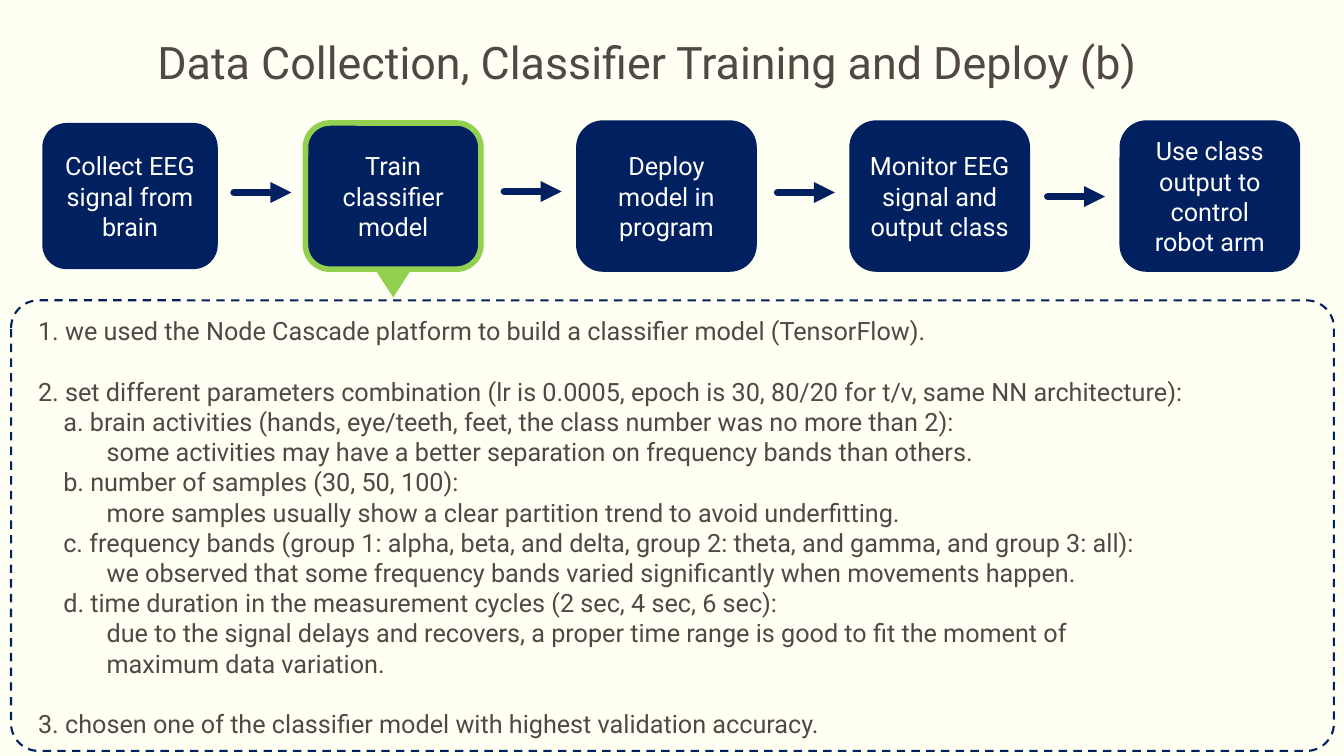
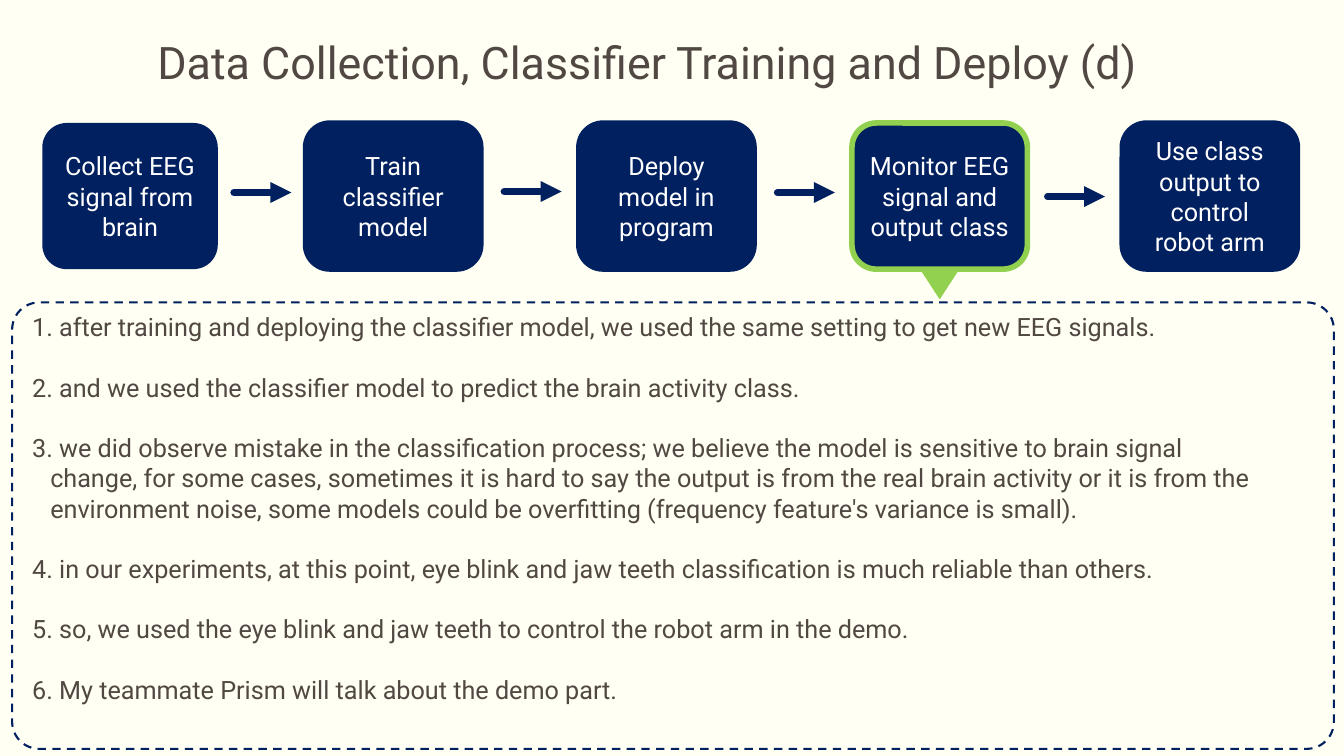
from dataclasses import dataclass

from lxml.etree import SubElement
from pptx import Presentation
from pptx.dml.color import RGBColor
from pptx.enum.dml import MSO_LINE
from pptx.enum.shapes import MSO_CONNECTOR, MSO_SHAPE
from pptx.enum.text import MSO_ANCHOR as Anchor, MSO_AUTO_SIZE as AutoSize, PP_ALIGN as Align
from pptx.oxml.ns import qn
from pptx.util import Inches, Pt

COLORS = {
    "background": "FFFFF3",
    "navy": "002060",
    "green": "92D050",
    "text": "514843",
    "white": "FFFFFF",
}
FONT = "Roboto"
TITLE = "Data Collection, Classifier Training and Deploy"
TITLE_ONLY = 5
STEP_TOP, STEP_WIDTH, STEP_HEIGHT = 1.22, 1.74, 1.45
POINTER_WIDTH, POINTER_HEIGHT, POINTER_RISE = 0.39, 0.3, 0.33
ARROW_LENGTH = 0.57
BLANK_LINE = 21.6


@dataclass(frozen=True)
class Box:
    left: float
    top: float
    width: float
    height: float

    def lengths(self) -> tuple:
        return tuple(Inches(v) for v in (self.left, self.top, self.width, self.height))


@dataclass(frozen=True)
class Step:
    text: str
    left: float
    outlined: bool = True


@dataclass(frozen=True)
class Arrow:
    left: float
    top: float


@dataclass(frozen=True)
class Entry:
    text: str
    indent: float = 0
    hanging: float = 0
    gap: float = 0


@dataclass(frozen=True)
class Page:
    letter: str
    active: int
    panel: Box
    body: Box
    entries: tuple


STEPS = (
    Step("Collect EEG signal from brain", 0.42, outlined=False),
    Step("Train classifier model\u00a0".strip(), 3.03),
    Step("Deploy model in program", 5.74),
    Step("Monitor EEG signal and output class", 8.45),
    Step("Use class output to control\vrobot arm", 11.13),
)
ARROWS = (Arrow(2.32, 1.91), Arrow(5, 1.9), Arrow(7.71, 1.91), Arrow(10.39, 1.95))


def item(text: str, gap: float = BLANK_LINE) -> Entry:
    return Entry(text, indent=0.18, hanging=0.18, gap=gap)


def subitem(text: str) -> Entry:
    return Entry(text, indent=0.25)


def detail(text: str) -> Entry:
    return Entry(text, indent=0.68)


PAGES = (
    Page(
        "b", 1, Box(0.11, 2.98, 13.12, 4.47), Box(0.28, 3.08, 12.4, 4.34),
        (
            item("1. we used the Node Cascade platform to build a classifier model (TensorFlow).", gap=0),
            item("2. set different parameters combination (lr is 0.0005, epoch is 30, 80/20 for t/v, "
                 "same NN architecture):"),
            subitem("a. brain activities (hands, eye/teeth, feet, the class number was no more than 2):"),
            detail("some activities may have a better separation on frequency bands than others."),
            subitem("b. number of samples (30, 50, 100):"),
            detail("more samples usually show a clear partition trend to avoid underfitting."),
            subitem("c. frequency bands (group 1: alpha, beta, and delta, group 2: theta, and gamma, "
                    "and group 3: all):"),
            detail("we observed that some frequency bands varied significantly when movements happen."),
            subitem("d. time duration in the measurement cycles (2 sec, 4 sec, 6 sec):"),
            detail("due to the signal delays and recovers, a proper time range is good to fit "
                   "the moment of\vmaximum data variation."),
            item("3. chosen one of the classifier model with highest validation accuracy."),
        ),
    ),
    Page(
        "d", 3, Box(0.12, 3, 13.11, 4.43), Box(0.22, 3.04, 13.01, 4.04),
        (
            item("1. after training and deploying the classifier model, we used the same setting "
                 "to get new EEG signals.", gap=0),
            item("2. and we used the classifier model to predict the brain activity class."),
            item("3. we did observe mistake in the classification process; we believe the model "
                 "is sensitive to brain signal\vchange, for some cases, sometimes it is hard to say "
                 "the output is from the real brain activity or it is from the\venvironment noise, "
                 "some models could be overfitting (frequency feature's variance is small)."),
            item("4. in our experiments, at this point, eye blink and jaw teeth classification "
                 "is much reliable than others."),
            item("5. so, we used the eye blink and jaw teeth to control the robot arm in the demo."),
            item("6. My teammate Prism will talk about the demo part."),
        ),
    ),
)


def rgb(name: str) -> RGBColor:
    return RGBColor.from_string(COLORS[name])


def write(paragraph, text: str, *, size: float = 18, color: str = "text",
          align=Align.LEFT, spacing: float = 1) -> None:
    paragraph.text = text
    paragraph.alignment = align
    paragraph.line_spacing = spacing
    for run in paragraph.runs:
        run.font.name = FONT
        run.font.size = Pt(size)
        run.font.color.rgb = rgb(color)


def add_shape(slide, kind, box: Box, *, fill: str = "", line: str = "", line_width: float = 0):
    shape = slide.shapes.add_shape(kind, *box.lengths())
    shape.shadow.inherit = False
    if fill:
        shape.fill.solid()
        shape.fill.fore_color.rgb = rgb(fill)
    else:
        shape.fill.background()
    if line:
        shape.line.color.rgb = rgb(line)
        shape.line.width = Pt(line_width)
    else:
        shape.line.fill.background()
    return shape


def add_title(slide, text: str) -> None:
    title = slide.shapes.title
    title.left, title.top, title.width, title.height = Box(1.46, 0.35, 10.92, 1.2).lengths()
    frame = title.text_frame
    frame.auto_size = AutoSize.NONE
    frame.vertical_anchor = Anchor.TOP
    write(frame.paragraphs[0], text, size=32, spacing=0.9)


def add_step(slide, step: Step, active: bool) -> None:
    line, line_width = ("green", 4) if active else ("navy" if step.outlined else "", 3.78)
    box = Box(step.left, STEP_TOP, STEP_WIDTH, STEP_HEIGHT)
    shape = add_shape(slide, MSO_SHAPE.ROUNDED_RECTANGLE, box, fill="navy",
                      line=line, line_width=line_width)
    shape.text_frame.word_wrap = True
    shape.text_frame.vertical_anchor = Anchor.MIDDLE
    write(shape.text_frame.paragraphs[0], step.text, color="white", align=Align.CENTER)


def add_arrow(slide, arrow: Arrow) -> None:
    connector = slide.shapes.add_connector(
        MSO_CONNECTOR.STRAIGHT, Inches(arrow.left), Inches(arrow.top),
        Inches(arrow.left + ARROW_LENGTH), Inches(arrow.top))
    connector.line.color.rgb = rgb("navy")
    connector.line.width = Pt(5)
    properties = connector._element.spPr
    outline = properties.find(qn("a:ln"))
    outline.set("cap", "rnd")
    SubElement(outline, qn("a:tailEnd")).set("type", "triangle")
    SubElement(properties, qn("a:effectLst"))


def add_panel(slide, page: Page) -> None:
    panel = add_shape(slide, MSO_SHAPE.ROUNDED_RECTANGLE, page.panel, line="navy", line_width=1.5)
    panel.adjustments[0] = 0.061
    panel.line.dash_style = MSO_LINE.DASH
    pointer_left = STEPS[page.active].left + (STEP_WIDTH - POINTER_WIDTH) / 2
    pointer_box = Box(pointer_left, page.panel.top - POINTER_RISE, POINTER_WIDTH, POINTER_HEIGHT)
    pointer = add_shape(slide, MSO_SHAPE.ISOSCELES_TRIANGLE, pointer_box, fill="green")
    pointer.rotation = 180


def add_body(slide, page: Page) -> None:
    frame = slide.shapes.add_textbox(*page.body.lengths()).text_frame
    frame.word_wrap = True
    for index, entry in enumerate(page.entries):
        paragraph = frame.add_paragraph() if index else frame.paragraphs[0]
        write(paragraph, entry.text)
        paragraph.space_before = Pt(entry.gap)
        properties = paragraph._p.get_or_add_pPr()
        properties.set("marL", str(Inches(entry.indent)))
        properties.set("indent", str(-Inches(entry.hanging)))


def add_page(presentation, page: Page) -> None:
    slide = presentation.slides.add_slide(presentation.slide_layouts[TITLE_ONLY])
    add_title(slide, f"{TITLE} ({page.letter})")
    add_panel(slide, page)
    add_body(slide, page)
    for index, step in enumerate(STEPS):
        add_step(slide, step, index == page.active)
    for arrow in ARROWS:
        add_arrow(slide, arrow)


def main() -> None:
    presentation = Presentation()
    presentation.slide_width = Inches(13.33)
    presentation.slide_height = Inches(7.5)
    background = presentation.slide_master.background.fill
    background.solid()
    background.fore_color.rgb = rgb("background")
    for page in PAGES:
        add_page(presentation, page)
    presentation.save("out.pptx")


if __name__ == "__main__":
    main()
